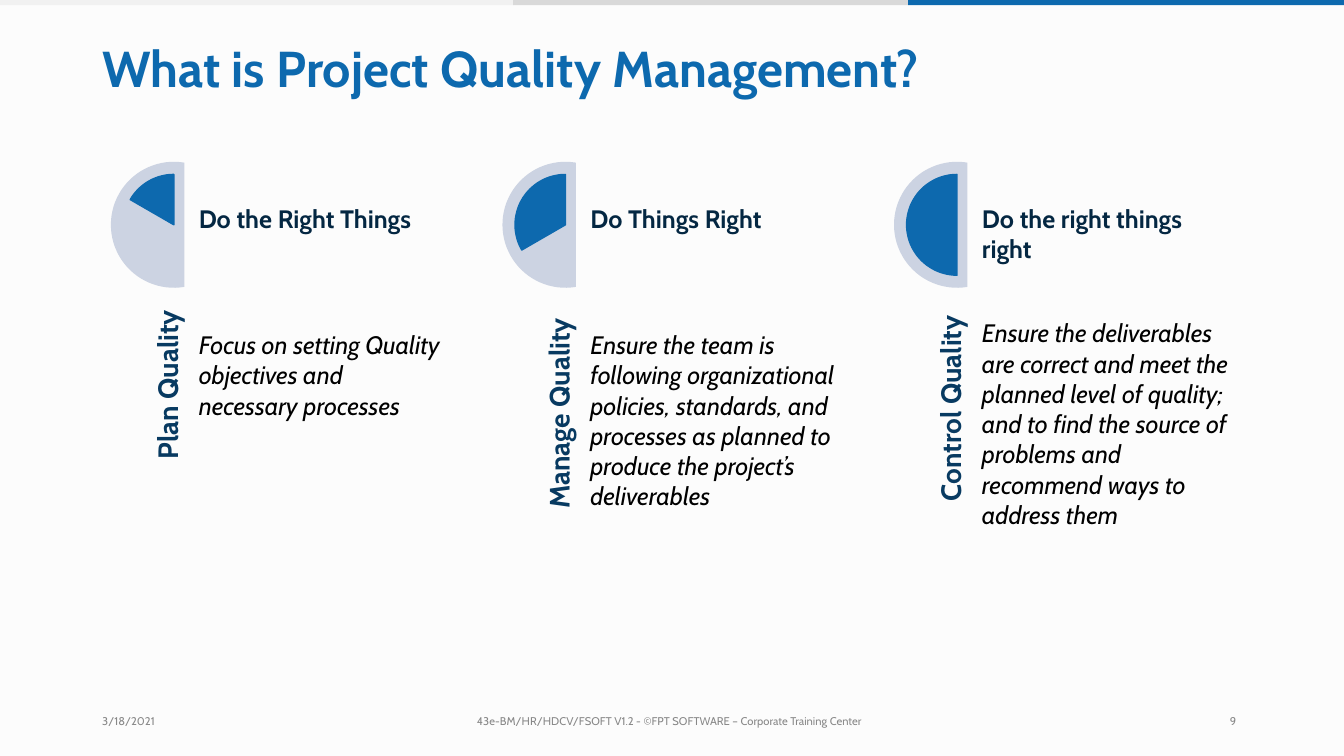
"""Build the project quality management slide with three pie columns."""
import math
from dataclasses import dataclass

import pptx
import pptx.dml.color
import pptx.enum.shapes
import pptx.enum.text
import pptx.util

Pt = pptx.util.Pt
RGBColor = pptx.dml.color.RGBColor

PAPER = RGBColor(0xFC, 0xFC, 0xFC)
BLUE = RGBColor(0x0D, 0x69, 0xAE)
GREY = RGBColor(0xD9, 0xD9, 0xD9)
LIGHT_GREY = RGBColor(0xF1, 0xF1, 0xF1)
PALE_BLUE = RGBColor(0xCC, 0xD3, 0xE2)
NAVY = RGBColor(0x08, 0x3A, 0x61)
DARK_NAVY = RGBColor(0x04, 0x27, 0x42)
BLACK = RGBColor(0, 0, 0)
FOOTER_GREY = RGBColor(0x88, 0x88, 0x88)

FONT = "Cabin"
FIRST_CENTRE, COLUMN_PITCH, CENTRE_Y = 124.2, 279.7, 160.6
DISC_RADIUS, PIE_RADIUS, DISC_CUT = 45, 36, 7.4
TEXT_OFFSET = 17.8


@dataclass(frozen=True)
class TextStyle:
    size: float
    color: RGBColor
    bold: bool = False
    italic: bool = False


TITLE = TextStyle(36, BLUE, bold=True)
LABEL = TextStyle(20, NAVY, bold=True)
HEADING = TextStyle(18, DARK_NAVY, bold=True)
BODY = TextStyle(18, BLACK, italic=True)
FOOTER = TextStyle(8, FOOTER_GREY)


@dataclass(frozen=True)
class Bar:
    left: float
    right: float
    color: RGBColor


@dataclass(frozen=True)
class QualityColumn:
    label: str
    label_height: float
    sweep: int
    heading: str
    body: str
    body_top: float
    body_width: float


@dataclass(frozen=True)
class FooterItem:
    text: str
    left: float
    width: float


BARS = (
    Bar(0, 366.5, LIGHT_GREY),
    Bar(366.5, 648.7, GREY),
    Bar(648.7, 960, BLUE),
)

COLUMNS = (
    QualityColumn(
        "Plan Quality", 115, 60, "Do the Right Things",
        "Focus on setting Quality objectives and necessary processes",
        235.3, 173,
    ),
    QualityColumn(
        "Manage Quality", 150.5, 120, "Do Things Right",
        "Ensure the team is following organizational policies, standards, and "
        "processes as planned to produce the project’s deliverables",
        235.3, 180.5,
    ),
    QualityColumn(
        "Control Quality", 145, 180, "Do the right things\nright",
        "Ensure the deliverables are correct and meet the planned level of "
        "quality; and to find the source of problems and recommend ways to "
        "address them",
        227, 181,
    ),
)

FOOTERS = (
    FooterItem("3/18/2021", 73, 40),
    FooterItem(
        "43e-BM/HR/HDCV/FSOFT V1.2 - ©FPT SOFTWARE – Corporate Training Center",
        340.7, 281,
    ),
    FooterItem("9", 878.5, 13),
)


def fill_text(shape, text: str, style: TextStyle) -> None:
    text_frame = shape.text_frame
    text_frame.text = text
    text_frame.word_wrap = True
    text_frame.auto_size = pptx.enum.text.MSO_AUTO_SIZE.NONE
    text_frame.vertical_anchor = pptx.enum.text.MSO_ANCHOR.TOP
    text_frame.margin_left = text_frame.margin_right = 0
    text_frame.margin_top = text_frame.margin_bottom = 0
    for paragraph in text_frame.paragraphs:
        paragraph.alignment = pptx.enum.text.PP_ALIGN.LEFT
        paragraph.line_spacing = 1.0
        for run in paragraph.runs:
            run.font.name = FONT
            run.font.size = Pt(style.size)
            run.font.bold = style.bold
            run.font.italic = style.italic
            run.font.color.rgb = style.color


def add_text(slide, text: str, style: TextStyle,
             left: float, top: float, width: float, height: float):
    shape = slide.shapes.add_textbox(Pt(left), Pt(top), Pt(width), Pt(height))
    fill_text(shape, text, style)
    return shape


def add_bar(slide, bar: Bar) -> None:
    shape = slide.shapes.add_shape(
        pptx.enum.shapes.MSO_SHAPE.RECTANGLE,
        Pt(bar.left), 0, Pt(bar.right - bar.left), Pt(3.8),
    )
    shape.shadow.inherit = False
    shape.fill.solid()
    shape.fill.fore_color.rgb = bar.color
    shape.line.fill.background()


def arc_points(centre_x: float, radius: float, start: float, end: float,
               steps: int = 48) -> list[tuple[int, int]]:
    angles = [math.radians(start + (end - start) * step / steps)
              for step in range(steps + 1)]
    return [(Pt(centre_x - radius * math.sin(angle)),
             Pt(CENTRE_Y - radius * math.cos(angle))) for angle in angles]


def add_outline(slide, points: list[tuple[int, int]], color: RGBColor):
    builder = slide.shapes.build_freeform(*points[0])
    builder.add_line_segments(points[1:], close=True)
    shape = builder.convert_to_shape()
    shape.shadow.inherit = False
    shape.fill.solid()
    shape.fill.fore_color.rgb = color
    shape.line.fill.background()
    return shape


def add_column(slide, column: QualityColumn, centre_x: float) -> None:
    overhang = math.degrees(math.asin(DISC_CUT / DISC_RADIUS))
    add_outline(
        slide,
        arc_points(centre_x, DISC_RADIUS, -overhang, 180 + overhang),
        PALE_BLUE,
    )
    centre = (Pt(centre_x), Pt(CENTRE_Y))
    pie = add_outline(
        slide,
        arc_points(centre_x, PIE_RADIUS, 0, column.sweep) + [centre],
        BLUE,
    )
    pie.line.color.rgb = BLUE
    pie.line.width = Pt(0.96)

    label = add_text(slide, column.label, LABEL,
                     centre_x - 17, 213, 26, column.label_height)
    label.text_frame._txBody.bodyPr.set("vert", "vert270")

    text_left = centre_x + TEXT_OFFSET
    add_text(slide, column.heading, HEADING, text_left, 144.9, 165, 44)
    add_text(slide, column.body, BODY,
             text_left, column.body_top, column.body_width, 152)


def main() -> None:
    presentation = pptx.Presentation()
    presentation.slide_width, presentation.slide_height = Pt(960), Pt(540)
    slide = presentation.slides.add_slide(presentation.slide_layouts[5])
    slide.background.fill.solid()
    slide.background.fill.fore_color.rgb = PAPER

    title = slide.shapes.title
    title.left, title.top = Pt(73), Pt(26.2)
    title.width, title.height = Pt(805), Pt(44)
    fill_text(title, "What is Project Quality Management?", TITLE)

    for bar in BARS:
        add_bar(slide, bar)
    for index, column in enumerate(COLUMNS):
        add_column(slide, column, FIRST_CENTRE + index * COLUMN_PITCH)
    for item in FOOTERS:
        add_text(slide, item.text, FOOTER, item.left, 510.5, item.width, 10)

    presentation.save("out.pptx")


if __name__ == "__main__":
    main()
